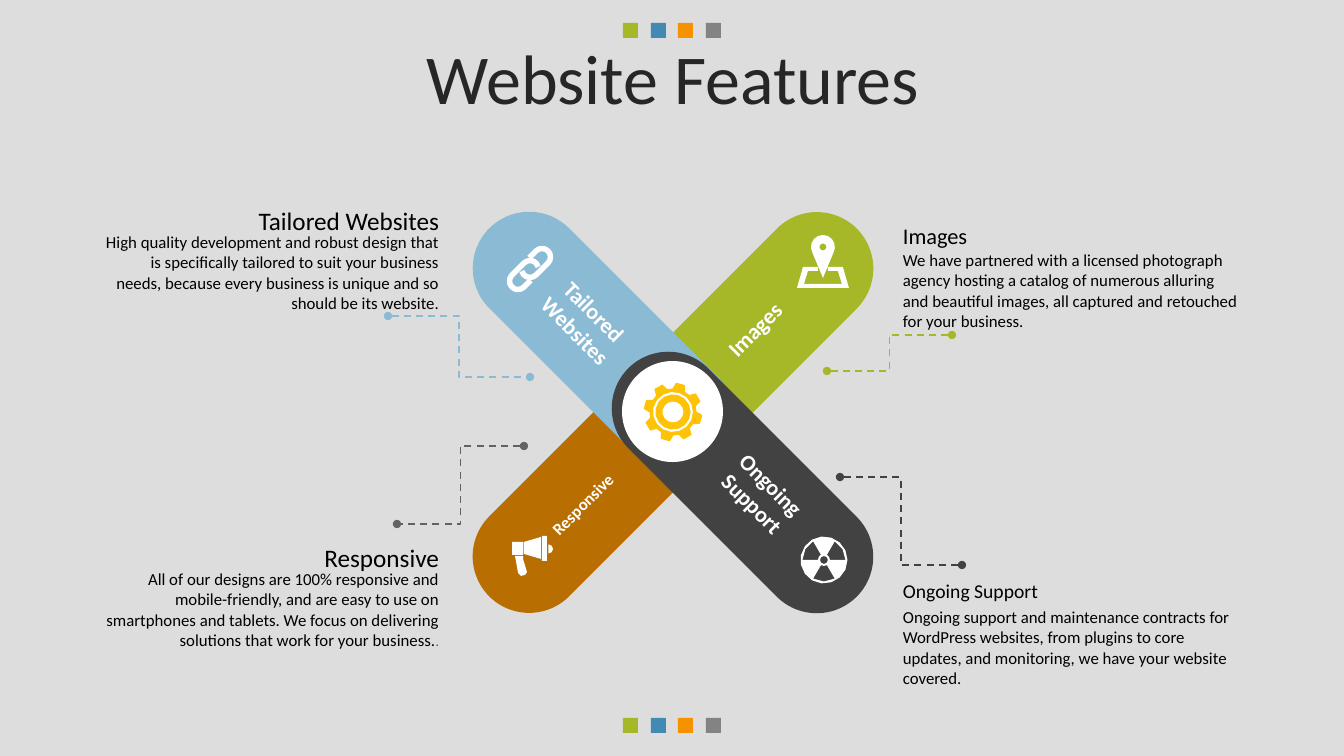
from math import cos, radians, sin

from lxml import etree
from pptx import Presentation
from pptx.dml.color import RGBColor
from pptx.enum.dml import MSO_LINE
from pptx.enum.shapes import MSO_CONNECTOR, MSO_SHAPE
from pptx.enum.text import MSO_ANCHOR, PP_ALIGN
from pptx.oxml.ns import qn
from pptx.util import Emu, Pt

RECT, ROUND_RECT, OVAL = MSO_SHAPE.RECTANGLE, MSO_SHAPE.ROUNDED_RECTANGLE, MSO_SHAPE.OVAL
ELBOW, DASH, MIDDLE = MSO_CONNECTOR.ELBOW, MSO_LINE.DASH, MSO_ANCHOR.MIDDLE
LEFT, CENTER, RIGHT = PP_ALIGN.LEFT, PP_ALIGN.CENTER, PP_ALIGN.RIGHT

BACKDROP = RGBColor(0xDD, 0xDD, 0xDD)
BLACK = RGBColor(0, 0, 0)
WHITE = RGBColor(0xFF, 0xFF, 0xFF)
INK = RGBColor(0x26, 0x26, 0x26)
GREEN = RGBColor(0xA6, 0xB7, 0x27)
BLUE = RGBColor(0x41, 0x8A, 0xB3)
ORANGE = RGBColor(0xF6, 0x92, 0x00)
GRAY = RGBColor(0x83, 0x83, 0x83)
BROWN = RGBColor(0xB8, 0x6E, 0x00)
SKY = RGBColor(0x8A, 0xBA, 0xD4)
CHARCOAL = RGBColor(0x42, 0x42, 0x42)
SLATE = RGBColor(0x62, 0x62, 0x62)
DOT_GRAY = RGBColor(0x59, 0x59, 0x59)
GOLD = RGBColor(0xFE, 0xC3, 0x06)

PX = 914400 / 100.8
FONT = "Calibri"

ARMS = [
    ((690, 183, 113, 312), 45, GREEN),
    ((543, 330, 113, 312), 225, BROWN),
    ((547, 181, 113, 323), 315, SKY),
    ((686, 321, 113, 323), 135, CHARCOAL),
]
ARM_LABELS = [
    ("Images", (694, 311, 121, 37), 315, 16, CENTER),
    ("Tailored Websites", (524, 289, 121, 65), 45, 16, CENTER),
    ("Responsive", (530, 481, 121, 30), 315, 12, LEFT),
    ("Ongoing Support", (701, 462, 121, 65), 45, 16, CENTER),
]
FEATURES = [
    ("Images", 16, 893, 217, LEFT,
     "We have partnered with a licensed photograph agency hosting a catalog of numerous "
     "alluring and beautiful images, all captured and retouched for your business.", ""),
    ("Ongoing Support", 14, 893, 574, LEFT,
     "Ongoing support and maintenance contracts for WordPress websites, from plugins to "
     "core updates, and monitoring, we have your website covered.", ""),
    ("Tailored Websites", 18, 94, 200, RIGHT,
     "High quality development and robust design that is specifically tailored to suit "
     "your business needs, because every business is unique and so should be its website.", ""),
    ("Responsive", 18, 94, 537, RIGHT,
     "All of our designs are 100% responsive and mobile-friendly, and are easy to use on "
     "smartphones and tablets. We focus on delivering solutions that work for your business.",
     "."),
]
LEADERS = [
    ((840, 477), (962, 565), CHARCOAL),
    ((388, 316), (530, 377), SKY),
    ((524, 446), (397, 524), SLATE),
    ((827, 371), (952, 335), GREEN),
]


def px(*lengths):
    return [Emu(round(length * PX)) for length in lengths]


def add_block(slide, kind, box, color, rotation=0):
    block = slide.shapes.add_shape(kind, *px(*box))
    block.shadow.inherit = False
    block.fill.solid()
    block.fill.fore_color.rgb = color
    block.line.fill.background()
    block.rotation = rotation
    return block


def add_text(slide, box, runs, align=LEFT, rotation=0, bold=False):
    """Add a text box of one paragraph; each run is (text, size, color)."""
    label = slide.shapes.add_textbox(*px(*box))
    label.rotation = rotation
    label.text_frame.word_wrap = True
    paragraph = label.text_frame.paragraphs[0]
    paragraph.alignment = align
    for text, size, color in runs:
        run = paragraph.add_run()
        run.text = text
        run.font.name = FONT
        run.font.size = Pt(size)
        run.font.bold = bold
        run.font.color.rgb = color
    return label.text_frame


def add_leader(slide, start, end, color):
    leader = slide.shapes.add_connector(ELBOW, *px(*start, *end))
    leader.line.color.rgb = color
    leader.line.width = Pt(1.25)
    leader.line.dash_style = DASH
    line = leader.line._get_or_add_ln()
    for tip in ("a:headEnd", "a:tailEnd"):
        etree.SubElement(line, qn(tip), type="oval")
    etree.SubElement(leader._element.spPr, qn("a:effectLst"))


def arc(x, y, radius, start=0, end=360):
    """Points along a circle, in degrees clockwise from the right."""
    steps = max(2, round(abs(end - start) / (24 if radius > 8 else 45)))
    angles = [radians(start + (end - start) * i / steps) for i in range(steps + 1)]
    return [(x + radius * cos(a), y + radius * sin(a)) for a in angles]


def add_outline(slide, contours, closed=True):
    """Build one freeform from contours in px, kept to a tenth of a px."""
    builder = None
    for contour in contours:
        points = [(x * 10, y * 10) for x, y in contour]
        if builder is None:
            builder = slide.shapes.build_freeform(*points[0], scale=PX / 10)
        else:
            builder.move_to(*points[0])
        builder.add_line_segments(points[1:], close=closed)
    outline = builder.convert_to_shape()
    outline.shadow.inherit = False
    return outline


def add_icon(slide, contours, color):
    icon = add_outline(slide, contours)
    icon.fill.solid()
    icon.fill.fore_color.rgb = color
    icon.line.fill.background()


def add_gear(slide, x, y):
    teeth = []
    for tooth in range(8):
        middle = tooth * 45 - 75
        for offset, radius in ((-16, 23.5), (-9, 29.5), (9, 29.5), (16, 23.5)):
            angle = radians(middle + offset)
            teeth.append((x + radius * cos(angle), y + radius * sin(angle)))
    add_icon(slide, [teeth] + [arc(x, y, radius) for radius in (20, 17.6, 10.5)], GOLD)


def add_megaphone(slide):
    handle = [(515, 556), (523, 556), (523, 559), (527, 572), (525, 575),
              (521, 576), (518, 573), (516, 561)]
    grip = [(512, 542), (523, 542), (523, 555), (512, 555)]
    horn = [(524, 542), (541, 537), (541, 559), (524, 554)]
    rim = [(542, 536), (547, 536), (547, 561), (542, 561)]
    add_icon(slide, [handle, grip, horn, rim, arc(548.5, 549, 4.5, -90, 90)], WHITE)


def add_map_pin(slide, x, y):
    right = [(5, 20), (20, 20), (26, 41)]
    notch = [(19, 37), (15, 24), (5, 24)]
    half = right + [(-dx, dy) for dx, dy in reversed(right)]
    inner = [(-dx, dy) for dx, dy in reversed(notch)] + notch
    base = [(x + dx, y + dy) for dx, dy in half + inner]
    pin = arc(x, y, 12, 150, 390) + [(x, y + 31)]
    add_icon(slide, [base, pin, arc(x, y, 3.6)], WHITE)


def add_chain(slide, x, y):
    """Two open links, each the other turned half round, along a diagonal."""
    link = [(-8.5, -7.5)] + arc(0, -17, 8.5, 180, 360) + arc(0, 0, 8.5, 0, 120)
    tilt = cos(radians(45))
    chain = add_outline(slide, [
        [(x + turn * (dx - dy) * tilt, y + turn * (dx + dy) * tilt) for dx, dy in link]
        for turn in (1, -1)], closed=False)
    chain.fill.background()
    chain.line.color.rgb = WHITE
    chain.line.width = Pt(3.9)


def add_trefoil(slide, x, y):
    blades = [arc(x, y, 6, start, start + 60) + arc(x, y, 21.5, start + 60, start)
              for start in (60, 180, 300)]
    add_icon(slide, [arc(x, y, 23.5), arc(x, y, 4)] + blades, WHITE)


def main():
    deck = Presentation()
    deck.slide_width, deck.slide_height = px(1344, 756)
    slide = deck.slides.add_slide(deck.slide_layouts[6])
    slide.background.fill.solid()
    slide.background.fill.fore_color.rgb = BACKDROP

    for top in (23, 718):
        for i, color in enumerate((GREEN, BLUE, ORANGE, GRAY)):
            add_block(slide, RECT, (623 + (i * 55 + 1) // 2, top, 15, 15), color)
    title = add_text(slide, (35, 44, 1276, 80), [("Website Features", 50, INK)], CENTER)
    title.vertical_anchor = MIDDLE
    title.paragraphs[0].line_spacing = 0.8

    for box, rotation, color in ARMS:
        add_block(slide, ROUND_RECT, box, color, rotation).adjustments[0] = 0.5
    add_block(slide, OVAL, (622, 361, 101, 101), WHITE)
    add_gear(slide, 673, 412)

    for heading, size, left, top, align, body, ending in FEATURES:
        heading_height = 13 + size * 3 // 2
        add_text(slide, (left, top, 355, heading_height), [(heading, size, BLACK)], align)
        runs = [(body, 12, BLACK)]
        if ending:
            runs.append((ending, 10, DOT_GRAY))
        body_top = top + (28 if align == LEFT else 27)
        add_text(slide, (left, body_top, 355, 92), runs, align)
    for start, end, color in LEADERS:
        add_leader(slide, start, end, color)

    add_megaphone(slide)
    add_map_pin(slide, 823, 247)
    add_chain(slide, 530, 269)
    add_trefoil(slide, 824, 560)
    for text, box, rotation, size, align in ARM_LABELS:
        add_text(slide, box, [(text, size, WHITE)], align, rotation, bold=True)
    deck.save("out.pptx")


if __name__ == "__main__":
    main()
